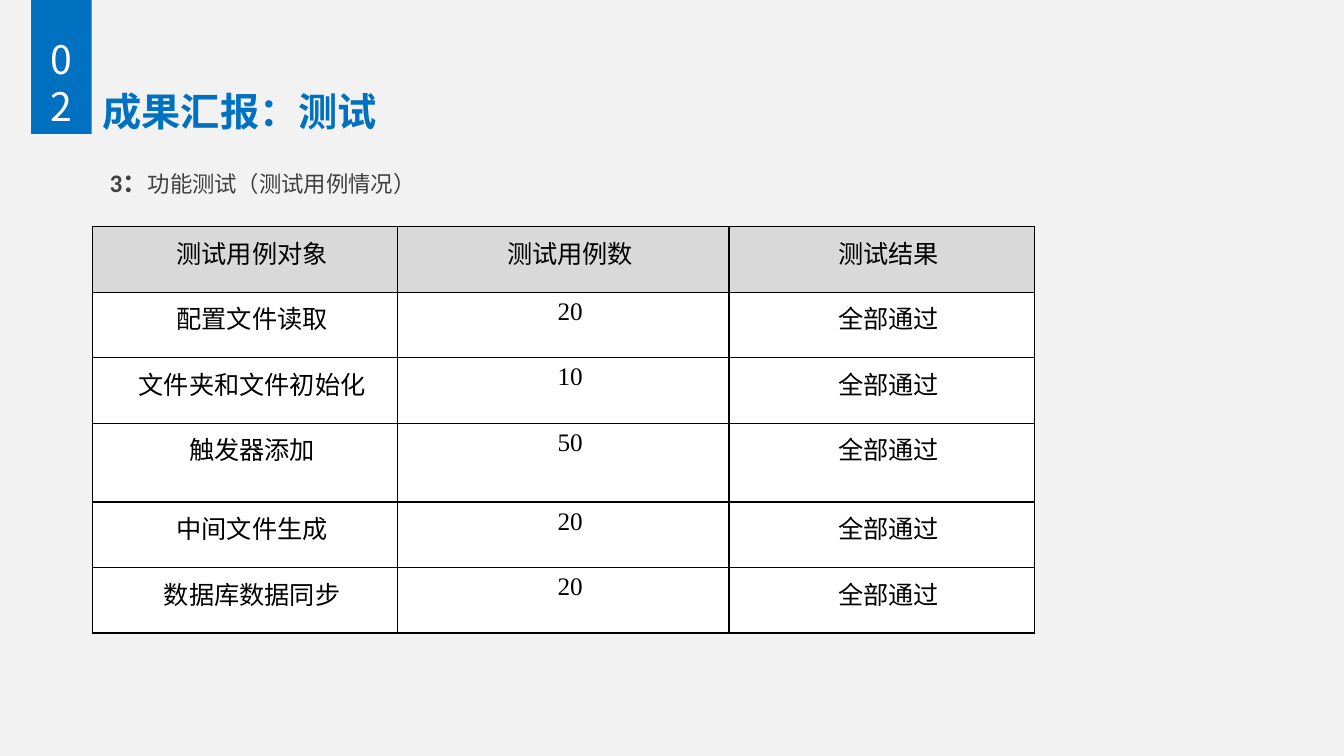
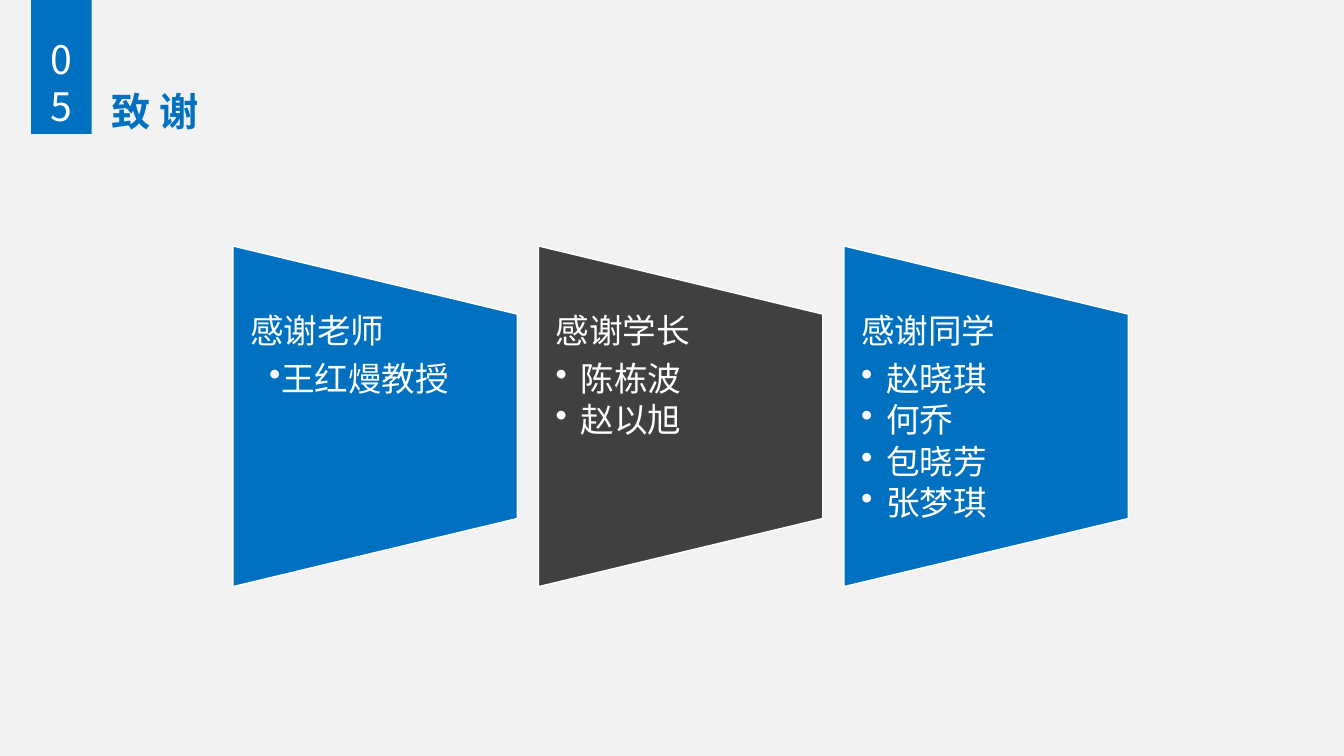
from lxml.etree import SubElement
from pptx import Presentation
from pptx.dml.color import RGBColor
from pptx.enum.shapes import MSO_SHAPE
from pptx.enum.text import MSO_ANCHOR, PP_ALIGN
from pptx.oxml.ns import qn
from pptx.util import Inches, Pt

BLUE, DARK, WHITE, BLACK = "0070C0", "404040", "FFFFFF", "000000"
PAPER, HEADER = "F2F2F2", "D9D9D9"
SANS = "Noto Sans CJK SC"


def rgb(value):
    return RGBColor.from_string(value)


def style(font, name, size, color, bold=False):
    font.name = name
    font.size = Pt(size)
    font.bold = bold
    font.color.rgb = rgb(color)


presentation = Presentation()
presentation.slide_width = Inches(13.33)
presentation.slide_height = Inches(7.5)
background = presentation.slide_master.background.fill
background.solid()
background.fore_color.rgb = rgb(PAPER)

sections = [
    ("02", "成果汇报：测试", "Times New Roman", 0.92),
    ("05", "致 谢", "Calibri", 1.01),
]
slides = []
for number, heading, heading_font, left in sections:
    slide = presentation.slides.add_slide(presentation.slide_layouts[6])
    slides.append(slide)

    title = slide.shapes.add_textbox(Inches(left), Inches(0.4), Inches(11.4), Inches(1.45)).text_frame
    title.word_wrap = True
    title.vertical_anchor = MSO_ANCHOR.MIDDLE
    title.text = heading
    title.paragraphs[0].line_spacing = 0.9
    style(title.paragraphs[0].font, heading_font, 28, BLUE, True)

    tab = slide.shapes.add_shape(MSO_SHAPE.RECTANGLE, Inches(0.31), 0, Inches(0.6), Inches(1.33))
    tab.shadow.inherit = False
    tab.fill.solid()
    tab.fill.fore_color.rgb = rgb(BLUE)
    tab.line.fill.background()
    tab.text_frame.vertical_anchor = MSO_ANCHOR.BOTTOM
    tab.text_frame.text = number
    tab.text_frame.paragraphs[0].alignment = PP_ALIGN.CENTER
    style(tab.text_frame.paragraphs[0].font, SANS, 28, WHITE)

testing, thanks = slides

subtitle = testing.shapes.add_textbox(Inches(0.99), Inches(1.46), Inches(11.5), Inches(0.7)).text_frame
subtitle.word_wrap = True
subtitle_line = subtitle.paragraphs[0]
subtitle_line.line_spacing = 1.5
subtitle_line.space_before = Pt(10)
for text, size, bold in [("3：", 18, True), ("功能测试（测试用例情况）", 16, False)]:
    run = subtitle_line.add_run()
    run.text = text
    style(run.font, "Calibri", size, DARK, bold)

test_cases = [
    ("测试用例对象", "测试用例数", "测试结果"),
    ("配置文件读取", "20", "全部通过"),
    ("文件夹和文件初始化", "10", "全部通过"),
    ("触发器添加", "50", "全部通过"),
    ("中间文件生成", "20", "全部通过"),
    ("数据库数据同步", "20", "全部通过"),
]
column_widths = [3.02, 3.29, 3.03]
row_heights = [0.65, 0.65, 0.65, 0.78, 0.65, 0.65]
results = testing.shapes.add_table(
    len(test_cases), len(column_widths), Inches(0.92), Inches(2.25),
    Inches(sum(column_widths)), Inches(sum(row_heights))).table
results.first_row = results.horz_banding = False
for column, width in zip(results.columns, column_widths):
    column.width = Inches(width)
for row_index, (row, height, values) in enumerate(zip(results.rows, row_heights, test_cases)):
    row.height = Inches(height)
    for cell, value in zip(row.cells, values):
        cell.margin_left = cell.margin_right = Inches(0.07)
        cell.margin_top = cell.margin_bottom = 0
        cell.text = value
        paragraph = cell.text_frame.paragraphs[0]
        paragraph.alignment = PP_ALIGN.CENTER
        paragraph.line_spacing = 1.2
        style(paragraph.font, "Times New Roman", 18, BLACK)
        paragraph._p.get_or_add_pPr().set("indent", str(Inches(0.14)))
        properties = cell._tc.get_or_add_tcPr()
        for side in ("lnL", "lnR", "lnT", "lnB"):
            border = SubElement(properties, qn(f"a:{side}"), w=str(Pt(1)))
            SubElement(SubElement(border, qn("a:solidFill")), qn("a:srgbClr"), val=BLACK)
        cell.fill.solid()
        cell.fill.fore_color.rgb = rgb(WHITE if row_index else HEADER)

groups = [
    ("感谢老师", ["王红熳教授"], BLUE, 0.19, 0),
    ("感谢学长", ["陈栋波", "赵以旭"], DARK, 0.25, -0.25),
    ("感谢同学", ["赵晓琪", "何乔", "包晓芳", "张梦琪"], BLUE, 0.25, -0.25),
]
panel_width, panel_height, panel_step = 2.82, 3.38, 3.03
for index, (heading, people, color, margin, indent) in enumerate(groups):
    left = 2.31 + index * panel_step
    panel = thanks.shapes.add_shape(
        MSO_SHAPE.FLOWCHART_MANUAL_OPERATION,
        Inches(left - (panel_height - panel_width) / 2), Inches(2.72),
        Inches(panel_height), Inches(panel_width))
    panel.rotation = 270
    panel.shadow.inherit = False
    panel.fill.solid()
    panel.fill.fore_color.rgb = rgb(color)
    panel.line.color.rgb = rgb(WHITE)
    panel.line.width = Pt(1)

    names = thanks.shapes.add_textbox(Inches(left), Inches(3.12), Inches(panel_width), Inches(2.03)).text_frame
    names.word_wrap = True
    names.margin_left = names.margin_right = Inches(0.17)
    names.margin_top = names.margin_bottom = 0
    names.text = "\n".join([heading, *people])
    for paragraph in names.paragraphs:
        paragraph.line_spacing = 0.9
        paragraph.space_after = Pt(3.6)
        style(paragraph.font, SANS, 24, WHITE)
    names.paragraphs[0].space_after = Pt(8.4)
    for paragraph in names.paragraphs[1:]:
        paragraph.level = 1
        properties = paragraph._p.get_or_add_pPr()
        properties.set("marL", str(Inches(margin)))
        properties.set("indent", str(Inches(indent)))
        bullet = properties.makeelement(qn("a:buChar"), {"char": "•"})
        properties.find(qn("a:defRPr")).addprevious(bullet)

presentation.save("out.pptx")
